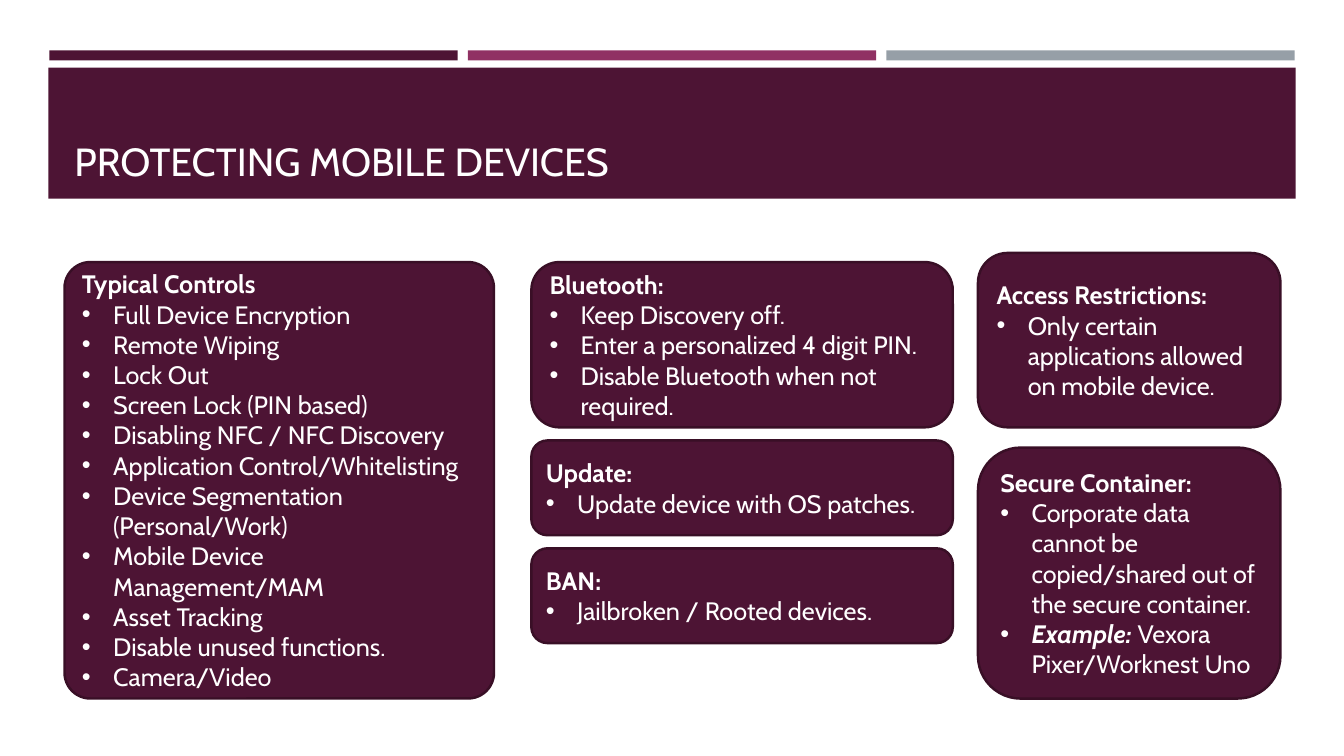
from pptx import Presentation
from pptx.dml.color import RGBColor as RGB
from pptx.enum.shapes import MSO_SHAPE as SHAPE
from pptx.enum.text import MSO_ANCHOR as ANCHOR, PP_ALIGN as ALIGN
from pptx.util import Inches, Pt
from lxml.etree import SubElement
from pptx.oxml.ns import qn

THEME = {
    "font": "Cabin", "title": 28, "body": 18, "outline": 1.75,
    "plum": "4D1434", "berry": "903163", "grey": "969FA7",
    "edge": "390F26", "text": "FFFFFF",
}
INDENT = 0.31

deck = Presentation()
deck.slide_width, deck.slide_height = Inches(13.33), Inches(7.5)
slide = deck.slides.add_slide(deck.slide_layouts[6])


def block(kind, left, top, width, height, color):
    """Add a filled shape without outline or shadow."""
    shape = slide.shapes.add_shape(
        kind, Inches(left), Inches(top), Inches(width), Inches(height))
    shape.shadow.inherit = False
    shape.fill.solid()
    shape.fill.fore_color.rgb = RGB.from_string(THEME[color])
    shape.line.fill.background()
    return shape


def write(paragraph, text, size="body", bold=False, italic=False, bullet=False):
    """Append one formatted run, making the paragraph a bullet if asked."""
    paragraph.alignment = ALIGN.LEFT
    if bullet:
        props = paragraph._p.get_or_add_pPr()
        props.set("marL", str(Inches(INDENT)))
        props.set("indent", str(-Inches(INDENT)))
        SubElement(props, qn("a:buFont"), typeface="Arial")
        SubElement(props, qn("a:buChar"), char="•")
    run = paragraph.add_run()
    run.text = text
    font = run.font
    font.name, font.size = THEME["font"], Pt(THEME[size])
    font.bold, font.italic = bold, italic
    font.color.rgb = RGB.from_string(THEME["text"])


# Three accent bars above the title band
for column, color in enumerate(("plum", "berry", "grey")):
    block(SHAPE.RECTANGLE, 0.49 + column * 4.15, 0.5, 4.05, 0.1, color)

# Title band
block(SHAPE.RECTANGLE, 0.48, 0.67, 12.37, 1.3, "plum")
title = slide.shapes.add_textbox(
    Inches(0.64), Inches(0.77), Inches(12.06), Inches(1.11)).text_frame
title.word_wrap = True
title.vertical_anchor = ANCHOR.BOTTOM
write(title.paragraphs[0], "PROTECTING MOBILE DEVICES", size="title")

# Cards: (left, top, width, gap, corner) and a stack of (height, heading, points)
columns = [
    ((0.64, 2.6, 4.26, 0, 0.06), [
        (4.33, "Typical Controls", [
            "Full Device Encryption",
            "Remote Wiping",
            "Lock Out",
            "Screen Lock (PIN based)",
            "Disabling NFC / NFC Discovery",
            "Application Control/Whitelisting",
            "Device Segmentation (Personal/Work)",
            "Mobile Device Management/MAM",
            "Asset Tracking",
            "Disable unused functions.",
            "Camera/Video",
        ]),
    ]),
    ((5.27, 2.6, 4.18, 0.13, 0.17), [
        (1.64, "Bluetooth:", [
            "Keep Discovery off.",
            "Enter a personalized 4 digit PIN.",
            "Disable Bluetooth when not required.",
        ]),
        (0.94, "Update:", ["Update device with OS patches."]),
        (0.94, "BAN:", ["Jailbroken / Rooted devices."]),
    ]),
    ((9.7, 2.51, 3, 0.2, 0.17), [
        (1.73, "Access Restrictions:", [
            "Only certain applications allowed on mobile device.",
        ]),
        (2.49, "Secure Container:", [
            "Corporate data cannot be copied/shared out of the secure container.",
            ("Example: ", "Vexora Pixer/Worknest Uno"),
        ]),
    ]),
]

for (left, top, width, gap, corner), cards in columns:
    for height, heading, points in cards:
        card = block(SHAPE.ROUNDED_RECTANGLE, left, top, width, height, "plum")
        card.adjustments[0] = corner
        card.line.color.rgb = RGB.from_string(THEME["edge"])
        card.line.width = Pt(THEME["outline"])
        frame = card.text_frame
        frame.word_wrap = True
        frame.vertical_anchor = ANCHOR.MIDDLE
        write(frame.paragraphs[0], heading, bold=True)
        for point in points:
            line = frame.add_paragraph()
            if isinstance(point, tuple):
                label, detail = point
                write(line, label, bold=True, italic=True, bullet=True)
                write(line, detail)
            else:
                write(line, point, bullet=True)
        top += height + gap

deck.save("out.pptx")
